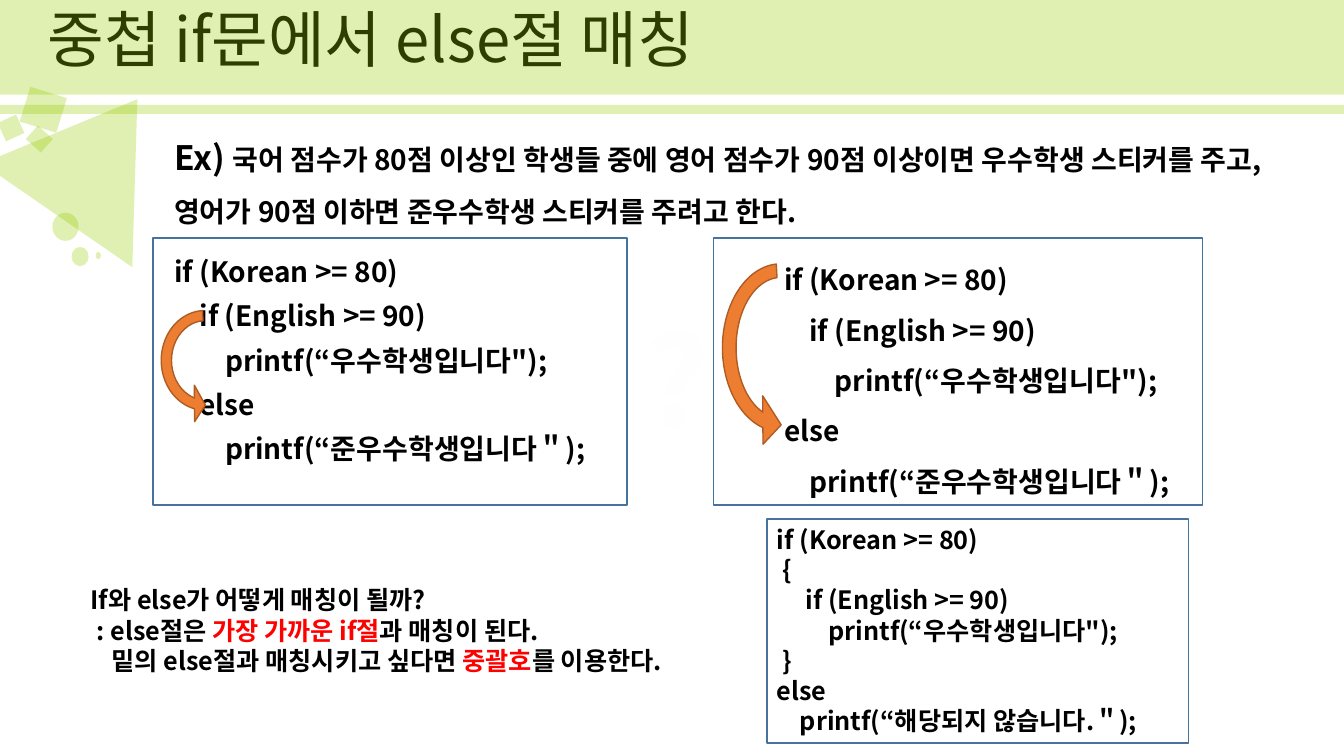
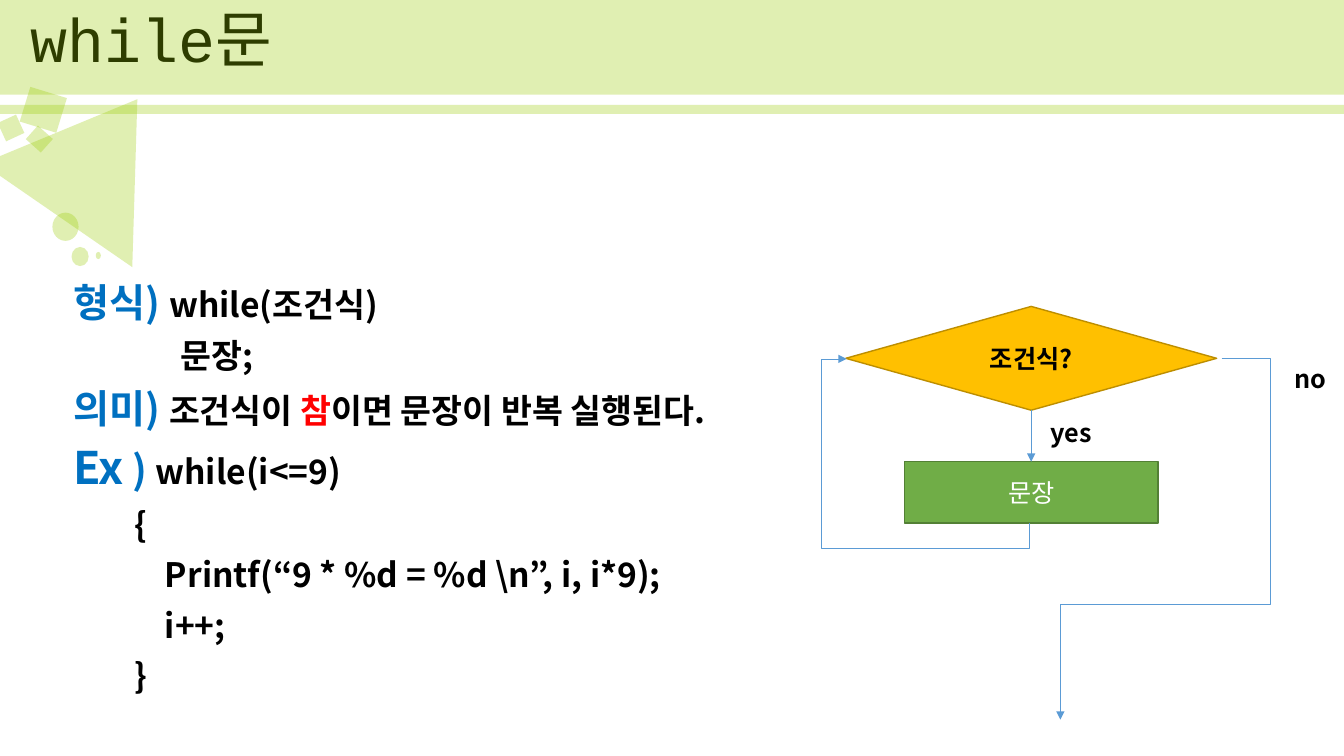
"""Build two lecture slides on if-else matching and the while loop."""
from dataclasses import dataclass
from typing import NamedTuple, Optional

from lxml import etree
from pptx import Presentation, util as u
from pptx.dml import color
from pptx.enum import shapes as es, text as et
from pptx.oxml import ns

COLS, ROWS = 133.33, 75
CELL = u.Inches(0.1)
FACE, MONO = "Noto Sans CJK KR", "Courier New"
BLACK, WHITE, RED, BLUE = "000000", "FFFFFF", "FF0000", "0070C0"
LIME, ORANGE, RUST, STEEL, SKY = "99CC00", "ED7D31", "AF5C24", "43739E", "5B9BD5"
KIND = es.MSO_SHAPE


class Box(NamedTuple):
    """Left, top, width and height in grid cells."""
    x: float
    y: float
    w: float
    h: float


class Run(NamedTuple):
    """A stretch of text in one style."""
    text: str
    size: int
    hue: str = BLACK
    bold: bool = True
    face: str = FACE


@dataclass
class Para:
    """A paragraph with its runs and spacing."""
    runs: list[Run]
    lead: float = 1.0
    gap: float = 0
    left: float = 0


@dataclass
class Deco:
    """A translucent ornament of the shared header."""
    kind: KIND
    box: Box
    turn: float = 0


@dataclass
class Wire:
    """A bent arrow given by its frame corners and bends."""
    start: tuple[float, float]
    end: tuple[float, float]
    bends: tuple[int, int]
    turn: int = 0


DECOS = [
    Deco(KIND.RECTANGLE, Box(0, 0, COLS, 9.4)),
    Deco(KIND.RECTANGLE, Box(0, 10.4, COLS, 0.9)),
    Deco(KIND.ISOSCELES_TRIANGLE, Box(0.6, 8.6, 18.1, 14), 34.6),
    Deco(KIND.RECTANGLE, Box(2.4, 9.1, 3.8, 3.6), 17.1),
    Deco(KIND.RECTANGLE, Box(2.9, 12.9, 2, 1.8), 41.8),
    Deco(KIND.RECTANGLE, Box(0.1, 11.7, 2, 2), 335.3),
    Deco(KIND.OVAL, Box(9.5, 25, 0.5, 0.7)),
    Deco(KIND.OVAL, Box(7.1, 24.5, 1.7, 1.9)),
    Deco(KIND.OVAL, Box(5.2, 21.1, 2.6, 2.8)),
]
FRAMES = [Box(15.2, 23.6, 47, 26.5), Box(70.8, 23.6, 48.5, 26.5), Box(76.1, 51.5, 41.8, 22.2)]
ARCS = [Box(14.1, 30.1, 12.5, 11.3), Box(67.4, 27, 20.1, 15)]
WIRES = [
    Wire((121.2, 35.6), (105.2, 71.4), (-30000, 68100)),
    Wire((101.2, 34.7), (84.9, 52.8), (-15300, 113800), 90),
]
NEAR = [
    "if (Korean >= 80)",
    "    if (English >= 90)",
    "        printf(“우수학생입니다\");",
    "    else",
    "        printf(“준우수학생입니다＂);",
]
FAR = [*NEAR[:3], "else", "    printf(“준우수학생입니다＂);"]
BRACED = [
    "if (Korean >= 80)",
    " {",
    "     if (English >= 90)",
    "         printf(“우수학생입니다\");",
    " }",
    "else",
    "    printf(“해당되지 않습니다.＂);",
]
LOOP = ["        {", "            Printf(“9 * %d = %d \\n”, i, i*9);", "            i++;", "        }"]


def cell(n: float) -> u.Emu:
    """Turn grid cells into a length."""
    return u.Emu(round(n * CELL))


def rgb(hue: str) -> color.RGBColor:
    """Turn a hex string into a colour."""
    return color.RGBColor.from_string(hue)


def sub(node, tag: str, **attrs: str):
    """Append a child element with attributes."""
    return etree.SubElement(node, ns.qn(tag), attrs)


def write(frame, paras: list[Para], mid: bool = False) -> None:
    """Fill a text frame run by run."""
    frame.word_wrap = True
    frame.vertical_anchor = et.MSO_ANCHOR.MIDDLE if mid else et.MSO_ANCHOR.TOP
    for i, item in enumerate(paras):
        para = frame.paragraphs[0] if i == 0 else frame.add_paragraph()
        para.line_spacing = item.lead
        para.space_before = u.Pt(item.gap if i else 0)
        if item.left:
            para._p.get_or_add_pPr().set("marL", str(cell(item.left)))
        for part in item.runs:
            run = para.add_run()
            run.text = part.text
            font = run.font
            font.size, font.bold, font.name = u.Pt(part.size), part.bold, part.face
            font.color.rgb = rgb(part.hue)
            sub(font._element, "a:ea", typeface=FACE)


def align(frame, side) -> None:
    """Align every paragraph of a frame."""
    for para in frame.paragraphs:
        para.alignment = side


def note(slide, box: Box, paras: list[Para]):
    """Add a wrapped text box."""
    area = slide.shapes.add_textbox(*map(cell, box))
    write(area.text_frame, paras)
    return area


def draw(slide, kind: KIND, box: Box, fill: Optional[str] = None, line: Optional[str] = None):
    """Add a flat preset shape."""
    shape = slide.shapes.add_shape(kind, *map(cell, box))
    shape.shadow.inherit = False
    if fill:
        shape.fill.solid()
        shape.fill.fore_color.rgb = rgb(fill)
    else:
        shape.fill.background()
    if line:
        shape.line.color.rgb = rgb(line)
        shape.line.width = u.Pt(1)
    else:
        shape.line.fill.background()
    return shape


def code(lines: list[str], size: int, lead: float = 1, gap: float = 0) -> list[Para]:
    """Make one paragraph per code line."""
    return [Para([Run(line, size)], lead, gap) for line in lines]


def start(deck, paras: list[Para]):
    """Add a slide with its title and header ornaments."""
    slide = deck.slides.add_slide(deck.slide_layouts[5])
    title = slide.shapes.title
    title.left, title.top, title.width, title.height = map(cell, Box(2, -3, 115, 14.5))
    write(title.text_frame, paras, True)
    align(title.text_frame, et.PP_ALIGN.LEFT)
    for deco in DECOS:
        shape = draw(slide, deco.kind, deco.box, LIME)
        shape.rotation = deco.turn
        tint = shape.fill._xPr.find(".//" + ns.qn("a:srgbClr"))
        sub(tint, "a:alpha", val="30000")
    return slide


def arc(slide, box: Box) -> None:
    """Add a curved arrow that opens to the right."""
    shape = draw(slide, KIND.CIRCULAR_ARROW, box, ORANGE, RUST)
    for i, val in enumerate((0.09, 8.53, 207.71, 109.79, 0.16)):
        shape.adjustments[i] = val
    shape.rotation = 270
    shape._element.spPr.find(ns.qn("a:xfrm")).set("flipH", "1")


def link(slide, kind, head: tuple[float, float], tail: tuple[float, float]):
    """Add a thin connector with an arrowhead."""
    line = slide.shapes.add_connector(kind, *map(cell, (*head, *tail)))
    line.line.color.rgb = rgb(SKY)
    line.line.width = u.Pt(0.5)
    sub(line.line._get_or_add_ln(), "a:tailEnd", type="triangle")
    sub(line._element.spPr, "a:effectLst")
    return line


def bend(slide, wire: Wire) -> None:
    """Add a connector with three bends."""
    line = link(slide, es.MSO_CONNECTOR.ELBOW, wire.start, wire.end)
    props = line._element.spPr
    if wire.turn:
        props.find(ns.qn("a:xfrm")).set("rot", str(wire.turn * 60000))
    geom = props.find(ns.qn("a:prstGeom"))
    geom.set("prst", "bentConnector4")
    guides = geom.find(ns.qn("a:avLst"))
    if guides is None:
        guides = sub(geom, "a:avLst")
    for i, val in enumerate(wire.bends, 1):
        sub(guides, "a:gd", name=f"adj{i}", fmla=f"val {val}")


def match(deck) -> None:
    """Build the slide on matching else with if."""
    slide = start(deck, [Para([Run("중첩 if문에서 else절 매칭", 44, bold=False)], 0.9, left=1.7)])
    task = Para([
        Run("Ex) ", 24),
        Run("국어 점수가 80점 이상인 학생들 중에 영어 점수가 90점 이상이면 우수학생 스티커를 "
            "주고, 영어가 90점 이하면 준우수학생 스티커를 주려고 한다.", 20),
    ], 1.5)
    lines = code(NEAR, 20, 0.9, 10)
    lines[0].gap = 22
    note(slide, Box(16.3, 11.1, 109.9, 52.8), [task, *lines])
    note(slide, Box(76.8, 23.9, 53.7, 26.3), code(FAR, 20, 1.5))
    for box in ARCS:
        arc(slide, box)
    mark = note(slide, Box(63.1, 29.6, 6.6, 15.8), [Para([Run("?", 88, "FEFEFE")])])
    align(mark.text_frame, et.PP_ALIGN.CENTER)
    style = mark.text_frame.paragraphs[0].runs[0].font._element
    style.set("spc", "50")
    edge = etree.Element(ns.qn("a:ln"), w=str(u.Pt(0.75)))
    sub(sub(edge, "a:solidFill"), "a:srgbClr", val=SKY)
    style.insert(0, edge)
    note(slide, Box(8, 57.5, 65.3, 10.1), [
        Para([Run("If와 else가 어떻게 매칭이 될까?", 18)]),
        Para([Run(": else절은 ", 18), Run("가장 가까운 if절", 18, RED),
              Run("과 매칭이 된다.", 18)], left=0.6),
        Para([Run("밑의 else절과 매칭시키고 싶다면 ", 18), Run("중괄호", 18, RED),
              Run("를 이용한다.", 18)], left=2.1),
    ])
    note(slide, Box(76.1, 51.5, 53.7, 22.2), code(BRACED, 18))
    for box in FRAMES:
        draw(slide, KIND.RECTANGLE, box, line=STEEL)


def loop(deck) -> None:
    """Build the slide on the while loop."""
    slide = start(deck, [Para([Run("while문", 44, bold=False, face=MONO)], 0.9)])
    rows = [
        [Run("형식) ", 28, BLUE), Run("while(조건식)", 24)],
        [Run("              문장;", 24)],
        [Run("의미) ", 28, BLUE), Run("조건식이 ", 24), Run("참", 24, RED),
         Run("이면 문장이 반복 실행된다.", 24)],
        [Run("Ex", 32, BLUE), Run(" )", 28, BLUE), Run(" while(i<=9)", 24)],
    ]
    note(slide, Box(6.3, 27.6, 77.7, 45.2),
         [Para(runs, 0.9, 10) for runs in rows] + code(LOOP, 24, 0.9, 10))
    test = draw(slide, KIND.DIAMOND, Box(83.9, 30.4, 36.8, 10.3), "FFC000", "BD8E00")
    step = draw(slide, KIND.RECTANGLE, Box(89.7, 45.8, 25.2, 6.1), "70AD47", "538035")
    for shape, run in ((test, Run("조건식?", 18)), (step, Run("문장", 18, WHITE, False))):
        write(shape.text_frame, [Para([run])], True)
        align(shape.text_frame, et.PP_ALIGN.CENTER)
    down = link(slide, es.MSO_CONNECTOR.STRAIGHT, (102.3, 40.7), (102.3, 45.8))
    down.begin_connect(test, 2)
    down.end_connect(step, 0)
    for wire in WIRES:
        bend(slide, wire)
    for word, x, y in (("yes", 103.2, 40.9), ("no", 127.4, 35.6)):
        note(slide, Box(x, y, 7.8, 4), [Para([Run(word, 18)])])


def main() -> None:
    """Build and save the deck."""
    deck = Presentation()
    deck.slide_width, deck.slide_height = cell(COLS), cell(ROWS)
    match(deck)
    loop(deck)
    deck.save("out.pptx")


if __name__ == "__main__":
    main()
